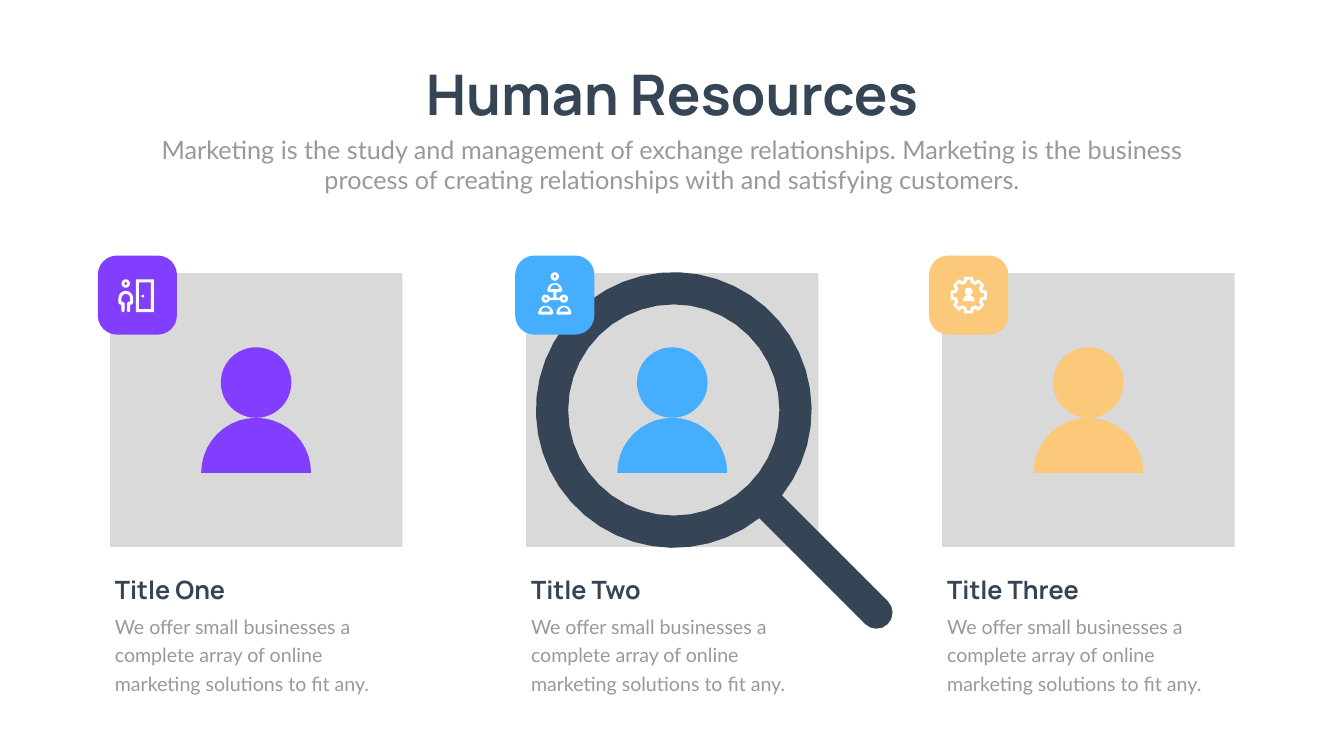
from math import cos, radians, sin

from pptx import Presentation
from pptx.dml.color import RGBColor
from pptx.enum.shapes import MSO_SHAPE
from pptx.enum.text import MSO_AUTO_SIZE, PP_ALIGN
from pptx.util import Inches, Pt

NAVY = RGBColor(0x36, 0x45, 0x56)
GRAY = RGBColor(0x99, 0x99, 0x99)
PANEL = RGBColor(0xD9, 0xD9, 0xD9)
WHITE = RGBColor(0xFF, 0xFF, 0xFF)
PURPLE = RGBColor(0x82, 0x3E, 0xFE)
BLUE = RGBColor(0x45, 0xAE, 0xFF)
AMBER = RGBColor(0xFC, 0xC8, 0x7A)

FIRST_LEFT = 2.18
COLUMN_STEP = 8.255
PANEL_WIDTH = 5.8
BADGE_TOP = 5.07
BADGE_SIZE = 1.57
INTRO = (
    "Marketing is the study and management of exchange relationships. "
    "Marketing is the business process of creating relationships with "
    "and satisfying customers."
)
DESCRIPTION = (
    "We offer small businesses a complete array of online "
    "marketing solutions to fit any."
)


def arc(x, y, radius, start, end, steps):
    angles = [radians(start + (end - start) * i / steps) for i in range(steps + 1)]
    return [(x + radius * cos(a), y + radius * sin(a)) for a in angles]


def circle(x, y, radius, sides):
    return arc(x, y, radius, 0, 360, sides)[:-1]


def rectangle(left, top, right, bottom):
    return [(left, top), (right, top), (right, bottom), (left, bottom)]


def ring(x, y):
    return [circle(x, y, 0.085, 10), circle(x, y, 0.03, 6)]


def bust(x, base):
    outer = arc(x, base - 0.03, 0.15, 180, 360, 8)
    return [
        outer + [(x + 0.12, base), (x - 0.12, base)],
        arc(x, base - 0.06, 0.09, 180, 360, 6),
    ]


def gear(tip, tip_angle, root, root_angle):
    tooth = [(root, -root_angle), (tip, -tip_angle), (tip, tip_angle), (root, root_angle)]
    return [
        (radius * cos(radians(turn + angle)), radius * sin(radians(turn + angle)))
        for turn in range(0, 360, 45)
        for radius, angle in tooth
    ]


def standing_figure(x, y):
    half = (
        arc(0, 0, 0.145, 270, 360, 4)
        + [(0.145, 0.1), (0.115, 0.13), (0.085, 0.13)]
        + arc(0.055, 0.25, 0.03, 0, 180, 3)
        + [(0.025, 0.1), (0.055, 0.07), (0.085, 0.07)]
        + arc(0, 0, 0.085, 360, 270, 3)
    )
    outline = half + [(-dx, dy) for dx, dy in reversed(half)]
    return [(x + dx, y + dy) for dx, dy in outline]


def exit_icon():
    return [
        ring(-0.23, -0.23),
        [standing_figure(-0.23, 0.06)],
        [rectangle(-0.03, -0.31, 0.33, 0.34), rectangle(0.03, -0.25, 0.27, 0.28)],
        [circle(0.11, 0.02, 0.03, 6)],
    ]


def team_icon():
    stem = rectangle(-0.03, -0.06, 0.03, 0.05)
    bar = rectangle(-0.1, 0.05, 0.1, 0.1)
    hierarchy = bust(0, -0.06) + [stem, bar] + ring(-0.18, 0.07) + ring(0.18, 0.07)
    return [bust(-0.18, 0.39), hierarchy, bust(0.18, 0.39), ring(0, -0.37)]


def gear_icon():
    return [
        [gear(0.37, 13, 0.3, 19.5), gear(0.31, 5.6, 0.24, 12)],
        [circle(0, -0.07, 0.08, 10)],
        [arc(0, 0.12, 0.12, 180, 360, 8)],
    ]


def paint(shape, color):
    shape.shadow.inherit = False
    shape.fill.solid()
    shape.fill.fore_color.rgb = color
    shape.line.fill.background()


def add_box(page, kind, left, top, width, height, color):
    box = page.shapes.add_shape(
        kind, Inches(left), Inches(top), Inches(width), Inches(height)
    )
    paint(box, color)
    return box


def add_outline(page, contours, color, x=0, y=0):
    points = [[(Inches(x + dx), Inches(y + dy)) for dx, dy in c] for c in contours]
    builder = page.shapes.build_freeform(*points[0][0], scale=1.0)
    builder.add_line_segments(points[0][1:], close=True)
    for contour in points[1:]:
        builder.move_to(*contour[0])
        builder.add_line_segments(contour[1:], close=True)
    paint(builder.convert_to_shape(), color)


def add_text(page, text, left, top, width, height, font, size, color,
             bold=False, align=PP_ALIGN.LEFT, spacing=None, wrap=True):
    box = page.shapes.add_textbox(
        Inches(left), Inches(top), Inches(width), Inches(height)
    )
    frame = box.text_frame
    frame.text = text
    frame.word_wrap = wrap
    frame.auto_size = MSO_AUTO_SIZE.SHAPE_TO_FIT_TEXT
    paragraph = frame.paragraphs[0]
    paragraph.alignment = align
    if spacing:
        paragraph.line_spacing = Pt(spacing)
    span = paragraph.runs[0]
    span.font.name = font
    span.font.size = Pt(size)
    span.font.bold = bold
    span.font.color.rgb = color


def add_magnifier(page):
    x, y = 13.365, 8.135
    frame = arc(x, y, 2.735, 51.7, 398.3, 44)
    handle_end = arc(17.385, 12.155, 0.32, -45, 135, 8)
    add_outline(page, [frame + handle_end, circle(x, y, 2.095, 40)], NAVY)


def add_badge(page, left, icon, color):
    badge = add_box(page, MSO_SHAPE.ROUNDED_RECTANGLE, left, BADGE_TOP,
                    BADGE_SIZE, BADGE_SIZE, color)
    badge.adjustments[0] = 0.243
    x, y = left + BADGE_SIZE / 2, BADGE_TOP + BADGE_SIZE / 2
    for contours in icon:
        add_outline(page, contours, WHITE, x, y)


def add_person(page, x, color):
    add_box(page, MSO_SHAPE.OVAL, x - 0.7, 6.89, 1.4, 1.4, color)
    add_outline(page, [arc(x, 9.38, 1.09, 180, 360, 20)], color)


def main():
    deck = Presentation()
    deck.slide_width = Inches(26.66)
    deck.slide_height = Inches(15)
    page = deck.slides.add_slide(deck.slide_layouts[6])

    add_text(page, "Human Resources", 7.97, 1.14, 10.72, 1.45, "Manrope", 80,
             NAVY, bold=True, align=PP_ALIGN.CENTER, wrap=False)
    add_text(page, INTRO, 2.92, 2.61, 20.82, 1.31, "Lato", 36, GRAY,
             align=PP_ALIGN.CENTER)

    columns = [
        ("Title One", PURPLE, 1.94, exit_icon()),
        ("Title Two", BLUE, 10.22, team_icon()),
        ("Title Three", AMBER, 18.43, gear_icon()),
    ]
    lefts = [FIRST_LEFT + COLUMN_STEP * i for i in range(len(columns))]
    for left in lefts:
        add_box(page, MSO_SHAPE.RECTANGLE, left, 5.42, PANEL_WIDTH, 5.43, PANEL)
    add_magnifier(page)
    for left, (title, color, badge_left, icon) in zip(lefts, columns):
        add_text(page, title, left, 11.35, 5.35, 0.71, "Manrope", 36, NAVY, bold=True)
        add_text(page, DESCRIPTION, left, 12.05, PANEL_WIDTH, 1.77, "Lato", 28,
                 GRAY, spacing=40.8)
        add_badge(page, badge_left, icon, color)
        add_person(page, left + PANEL_WIDTH / 2, color)

    deck.save("out.pptx")


if __name__ == "__main__":
    main()
